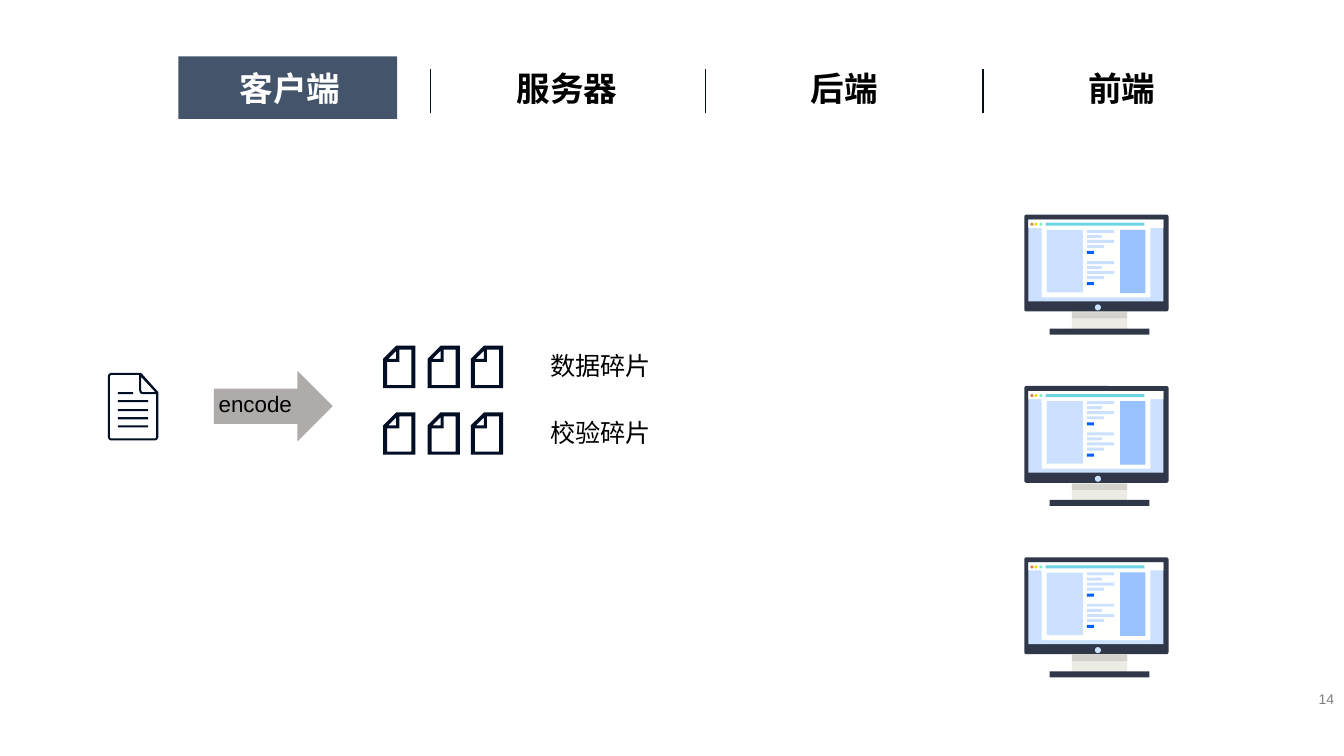
"""Builds the slide that shows a client file encoded into fragments, beside three front-end screens."""
import pptx
import pptx.dml.color
import pptx.enum.shapes
import pptx.enum.text
import pptx.oxml
import pptx.oxml.ns
import pptx.util

PX = pptx.util.Inches(0.01)
SHAPES = pptx.enum.shapes.MSO_SHAPE
ALIGN = pptx.enum.text.PP_ALIGN
COLORS = {
    "black": "000000", "white": "FFFFFF", "grey": "808080", "active": "44546A",
    "ink": "010E23", "arrow": "AFABAB", "case": "303748", "foot": "ECEBE4",
    "foot_shade": "D3D2CD", "page": "FFFFFD", "pale": "CBE1FF", "blue": "98C1FF",
    "link": "0061F7", "address": "6BD4E5", "close": "DF7A4C",
    "minimise": "EDDE00", "maximise": "7BF1BF",
}
HEADINGS = ["客户端", "服务器", "后端", "前端"]
COLUMN_LEFT, COLUMN_WIDTH = 150, 275
DIVIDERS = [427, 700, 975]
FRAGMENT_ROWS = {"数据碎片": 343, "校验碎片": 409}
FRAGMENT_LEFTS = [380, 424, 467]
SCREEN_LEFT, SCREEN_TOP, SCREEN_PITCH = 1016, 213, 170

FRAGMENT_OUTLINES = [
    [(0, 13), (13, 0), (32, 0), (32, 42), (0, 42)],
    [(5, 13), (13, 13), (13, 5)],
    [(4, 16), (4, 39), (28, 39), (28, 4), (16, 4), (16, 16)],
]
DOCUMENT_OUTLINES = [
    [(3, 0), (33, 0), (50, 19), (50, 64), (49, 66), (47, 67), (3, 67), (1, 66),
     (0, 64), (0, 3), (1, 1)],
    [(3, 2), (31, 2), (31, 17), (32, 20), (34, 21), (48, 21), (48, 64), (47, 65),
     (3, 65), (2, 64), (2, 3)],
    [(33, 4), (33, 17), (34, 19), (47, 19)],
] + [
    [(10, top), (right, top), (right, top + 2), (10, top + 2)]
    for top, right in [(19, 25), (27, 40), (36, 40), (44, 40), (52, 40)]
]
SCREEN_BODY = [
    (SHAPES.RECTANGLE, 47, 85, 55, 29, "foot"),
    (SHAPES.RECTANGLE, 47, 97, 55, 6, "foot_shade"),
    (SHAPES.RECTANGLE, 25, 113, 99, 6, "case"),
    (SHAPES.ROUNDED_RECTANGLE, 0, 0, 143, 96, "case"),
    (SHAPES.RECTANGLE, 4, 5, 134, 81, "pale"),
    (SHAPES.RECTANGLE, 4, 5, 134, 8, "page"),
    (SHAPES.RECTANGLE, 17, 12, 108, 70, "page"),
    (SHAPES.RECTANGLE, 22, 15, 36, 62, "pale"),
    (SHAPES.RECTANGLE, 95, 15, 25, 63, "blue"),
    (SHAPES.RECTANGLE, 21, 8, 98, 3, "address"),
    (SHAPES.OVAL, 70, 89, 6, 6, "pale"),
    (SHAPES.OVAL, 6, 8, 3, 3, "close"),
    (SHAPES.OVAL, 10, 8, 3, 3, "minimise"),
    (SHAPES.OVAL, 15, 8, 3, 3, "maximise"),
]
PARAGRAPH_TOPS = [15, 46]
PARAGRAPH_LINES = [(0, 27, "pale"), (5, 15, "pale"), (10, 27, "pale"),
                   (15, 17, "pale"), (21, 7, "link")]


def rgb(name):
    """Return the named colour."""
    return pptx.dml.color.RGBColor.from_string(COLORS[name])


def paint(shape, color):
    """Give a shape a flat fill without line or shadow."""
    shape.shadow.inherit = False
    shape.fill.solid()
    shape.fill.fore_color.rgb = rgb(color)
    shape.line.fill.background()


def add_block(shapes, kind, left, top, width, height, color):
    """Add a flat preset shape."""
    shape = shapes.add_shape(kind, left * PX, top * PX, width * PX, height * PX)
    paint(shape, color)
    return shape


def add_label(slide, text, left, top, width, height, size, color="black",
              align=ALIGN.LEFT, bold=False):
    """Add a one-paragraph text box."""
    box = slide.shapes.add_textbox(left * PX, top * PX, width * PX, height * PX)
    frame = box.text_frame
    frame.word_wrap = True
    paragraph = frame.paragraphs[0]
    paragraph.text = text
    paragraph.alignment = align
    paragraph.font.name = "Arial"
    paragraph.font.size = pptx.util.Pt(size)
    paragraph.font.bold = bold
    paragraph.font.color.rgb = rgb(color)
    return box


def add_divider(slide, left):
    """Add a thin vertical line between two headings."""
    line = slide.shapes.add_connector(
        pptx.enum.shapes.MSO_CONNECTOR.STRAIGHT, left * PX, 68 * PX, left * PX, 112 * PX)
    line.line.color.rgb = rgb("ink")
    line.line.width = pptx.util.Pt(1)
    properties = line._element.spPr
    properties.append(pptx.oxml.parse_xml(
        f"<a:effectLst {pptx.oxml.ns.nsdecls('a')}/>"))


def add_icon(slide, outlines, left, top):
    """Add a flat icon whose inner outlines are cut out."""
    builder = slide.shapes.build_freeform(*outlines[0][0], scale=PX)
    builder.add_line_segments(outlines[0][1:], close=True)
    for start, *points in outlines[1:]:
        builder.move_to(*start)
        builder.add_line_segments(points, close=True)
    paint(builder.convert_to_shape(left * PX, top * PX), "ink")


def add_screen(slide, left, top):
    """Add a grouped desktop screen showing a web page."""
    shapes = slide.shapes.add_group_shape().shapes
    text_lines = [
        (SHAPES.RECTANGLE, 62, start + offset, width, 3, color)
        for start in PARAGRAPH_TOPS for offset, width, color in PARAGRAPH_LINES
    ]
    for kind, x, y, width, height, color in SCREEN_BODY + text_lines:
        shape = add_block(shapes, kind, left + x, top + y, width, height, color)
        if kind == SHAPES.ROUNDED_RECTANGLE:
            shape.adjustments[0] = 0.02


def main():
    """Build and save the slide."""
    presentation = pptx.Presentation()
    presentation.slide_width = 1333 * PX
    presentation.slide_height = 750 * PX
    slide = presentation.slides.add_slide(presentation.slide_layouts[6])

    add_block(slide.shapes, SHAPES.RECTANGLE, 177, 56, 217, 62, "active")
    for column, heading in enumerate(HEADINGS):
        add_label(slide, heading, COLUMN_LEFT + column * COLUMN_WIDTH, 62, COLUMN_WIDTH, 50,
                  24, "black" if column else "white", ALIGN.CENTER, bold=True)
    for left in DIVIDERS:
        add_divider(slide, left)

    add_icon(slide, DOCUMENT_OUTLINES, 107, 370)
    add_block(slide.shapes, SHAPES.RIGHT_ARROW, 212, 368, 118, 70, "arrow")
    add_label(slide, "encode", 207, 382, 143, 37, 16)
    for name, top in FRAGMENT_ROWS.items():
        for left in FRAGMENT_LEFTS:
            add_icon(slide, FRAGMENT_OUTLINES, left, top)
        add_label(slide, name, 536, top, 153, 40, 18)

    for row in range(3):
        add_screen(slide, SCREEN_LEFT, SCREEN_TOP + row * SCREEN_PITCH)

    number = add_label(slide, "14", 1015, 682, 318, 23, 10, "grey", ALIGN.RIGHT)
    number.text_frame.vertical_anchor = pptx.enum.text.MSO_ANCHOR.MIDDLE
    presentation.save("out.pptx")


if __name__ == "__main__":
    main()
